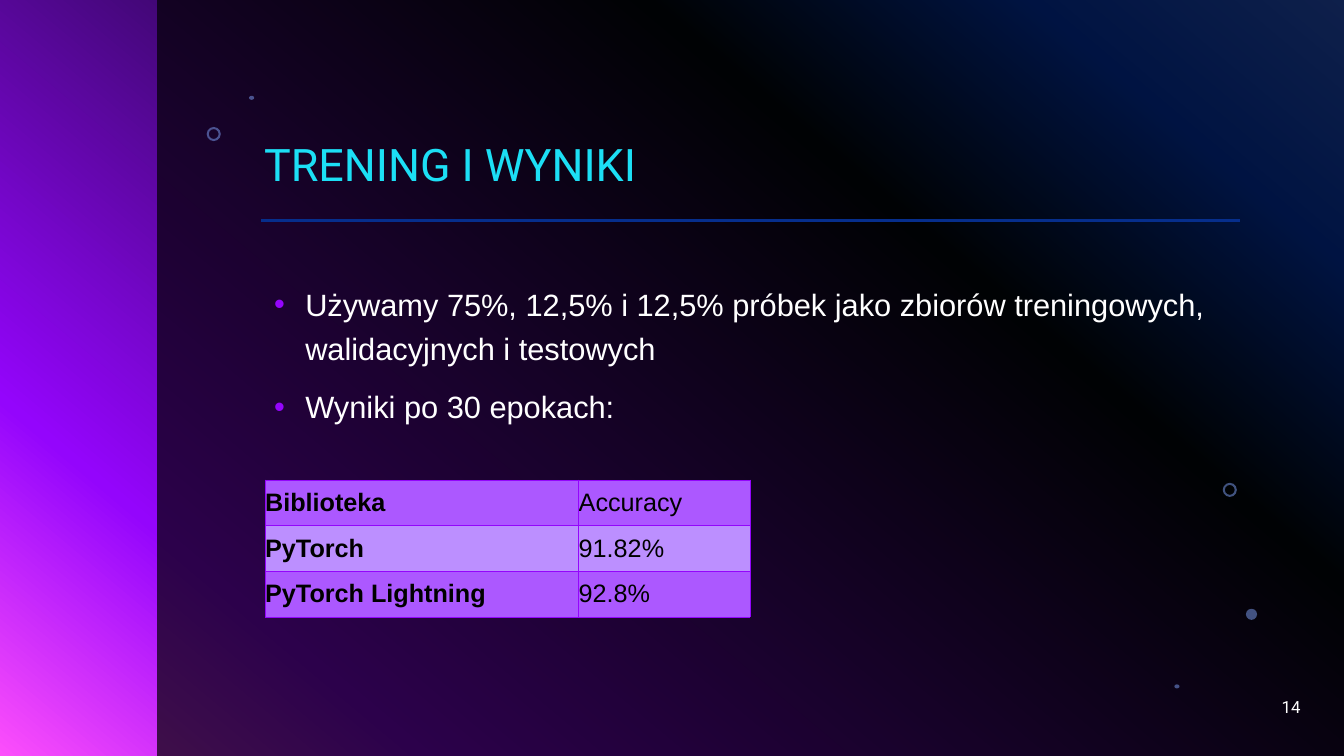
from lxml.etree import SubElement
from pptx import Presentation
from pptx.dml.color import RGBColor
from pptx.enum.shapes import MSO_CONNECTOR, MSO_SHAPE
from pptx.enum.text import MSO_ANCHOR, PP_ALIGN
from pptx.oxml import parse_xml
from pptx.oxml.ns import nsdecls, qn
from pptx.util import Inches, Pt

WIDTH, HEIGHT = Inches(13.33), Inches(7.5)
LEFT = 19.65
COLORS = {
    "blue": "316CFC", "navy": "0343DF", "night": "02090E",
    "purple": "9405FC", "pink": "FC4EFB", "black": "000000",
    "bubble": "83A7FD", "rule": "062E8C", "title": "1CDFF5",
    "white": "FFFFFF", "row": "AC58FF", "row_light": "BC8FFF",
}
BACKDROP = [(0, "blue"), (14, "navy"), (31, "night"), (81, "purple"), (100, "pink")]
BULLETS = [
    "Używamy 75%, 12,5% i 12,5% próbek jako zbiorów treningowych, "
    "walidacyjnych i testowych",
    "Wyniki po 30 epokach:",
]
RESULTS = [
    ("Biblioteka", "Accuracy"),
    ("PyTorch", "91.82%"),
    ("PyTorch Lightning", "92.8%"),
]
RING, DOT, SPECK = (1.05, 1.87), (0.83, 1.47), (0.38, 0.53)
BUBBLES = [
    (MSO_SHAPE.DONUT, 90.98, 63.87, RING),
    (MSO_SHAPE.OVAL, 92.7, 80.53, DOT),
    (MSO_SHAPE.OVAL, 87.38, 90.53, SPECK),
    (MSO_SHAPE.DONUT, 15.38, 16.8, RING),
    (MSO_SHAPE.OVAL, 18.53, 12.67, SPECK),
]


def across(percent):
    return round(WIDTH * percent / 100)


def down(percent):
    return round(HEIGHT * percent / 100)


def area(left, top, width, height):
    return across(left), down(top), across(width), down(height)


def rgb(color):
    return RGBColor.from_string(COLORS[color])


def paint_backdrop(slide):
    fill = slide.background.fill
    fill.gradient()
    fill.gradient_angle = 230
    stops = next(slide.element.iter(qn("a:gsLst")))
    for stop in list(stops):
        stops.remove(stop)
    for position, color in BACKDROP:
        stop = SubElement(stops, qn("a:gs"), pos=str(position * 1000))
        SubElement(stop, qn("a:srgbClr"), val=COLORS[color])


def add_veil(slide, kind, box, color, opacity):
    veil = slide.shapes.add_shape(kind, *area(*box))
    veil.shadow.inherit = False
    veil.fill.solid()
    veil.fill.fore_color.rgb = rgb(color)
    veil.line.fill.background()
    tint = next(veil.element.spPr.iter(qn("a:srgbClr")))
    SubElement(tint, qn("a:alpha"), val=str(opacity * 1000))
    return veil


def add_rule(slide, start, end, height):
    rule = slide.shapes.add_connector(
        MSO_CONNECTOR.STRAIGHT, across(start), down(height), across(end), down(height))
    rule.line.color.rgb = rgb("rule")
    rule.line.width = Pt(2)
    SubElement(rule.element.spPr, qn("a:effectLst"))


def write(paragraph, words, size, color, font, bold=False):
    run = paragraph.add_run()
    run.text = words
    run.font.size = Pt(size)
    run.font.name = font
    run.font.bold = bold
    run.font.color.rgb = rgb(color)


def place_title(slide, words):
    title = slide.shapes.title
    title.left, title.top, title.width, title.height = area(LEFT, 2.4, 72.53, 23.6)
    frame = title.text_frame
    frame.margin_left = 0
    frame.word_wrap = True
    frame.vertical_anchor = MSO_ANCHOR.BOTTOM
    heading = frame.paragraphs[0]
    heading.alignment = PP_ALIGN.LEFT
    heading.line_spacing = 0.9
    write(heading, words, 32, "title", "Roboto")
    slide.shapes.element.append(title.element)


def add_text_area(slide, box):
    frame = slide.shapes.add_textbox(*area(*box)).text_frame
    frame.word_wrap = True
    return frame


def add_bullets(slide, points):
    frame = add_text_area(slide, (LEFT, 36.13, 72.53, 51.47))
    for index, words in enumerate(points):
        point = frame.add_paragraph() if index else frame.paragraphs[0]
        point.line_spacing = 1.2
        if index:
            point.space_before = Pt(10)
        layout = point._p.get_or_add_pPr()
        layout.set("marL", str(Inches(0.31)))
        layout.set("indent", str(-Inches(0.31)))
        tint = SubElement(layout, qn("a:buClr"))
        SubElement(tint, qn("a:srgbClr"), val=COLORS["purple"])
        SubElement(layout, qn("a:buFont"), typeface="Arial")
        SubElement(layout, qn("a:buChar"), char="•")
        write(point, words, 22, "white", "Arial")


def add_page_number(slide, number):
    frame = add_text_area(slide, (75, 90.8, 22.5, 5.33))
    frame.vertical_anchor = MSO_ANCHOR.MIDDLE
    frame.paragraphs[0].alignment = PP_ALIGN.RIGHT
    write(frame.paragraphs[0], number, 12, "white", "Roboto")


def outline_cell(cell):
    properties = cell._tc.get_or_add_tcPr()
    for index, side in enumerate(("lnL", "lnR", "lnT", "lnB")):
        properties.insert(index, parse_xml(
            f'<a:{side} {nsdecls("a")} w="{Pt(0.5)}"><a:solidFill>'
            f'<a:srgbClr val="{COLORS["purple"]}"/></a:solidFill></a:{side}>'))


def add_results(slide, results):
    widths, row_height = (23.33, 12.75), 6.05
    box = area(19.73, 63.47, sum(widths), row_height * len(results))
    table = slide.shapes.add_table(len(results), len(widths), *box).table
    table.first_row = table.horz_banding = False
    for column, width in zip(table.columns, widths):
        column.width = across(width)
    for row, entries in enumerate(results):
        table.rows[row].height = down(row_height)
        for column, words in enumerate(entries):
            cell = table.cell(row, column)
            cell.margin_left = cell.margin_right = 0
            cell.margin_top = cell.margin_bottom = 0
            cell.vertical_anchor = MSO_ANCHOR.MIDDLE
            cell.fill.solid()
            cell.fill.fore_color.rgb = rgb("row_light" if row % 2 else "row")
            outline_cell(cell)
            write(cell.text_frame.paragraphs[0], words, 18, "black", "Arial", column == 0)


def main():
    deck = Presentation()
    deck.slide_width, deck.slide_height = WIDTH, HEIGHT
    slide = deck.slides.add_slide(deck.slide_layouts[5])
    paint_backdrop(slide)
    add_veil(slide, MSO_SHAPE.RECTANGLE, (11.7, 0, 88.3, 100), "black", 70)
    for kind, left, top, size in BUBBLES:
        bubble = add_veil(slide, kind, (left, top, *size), "bubble", 49)
        if kind == MSO_SHAPE.DONUT:
            bubble.adjustments[0] = 0.15
    add_rule(slide, 19.43, 92.25, 29.2)
    place_title(slide, "TRENING I WYNIKI")
    add_bullets(slide, BULLETS)
    add_page_number(slide, "14")
    add_results(slide, RESULTS)
    deck.save("out.pptx")


if __name__ == "__main__":
    main()
